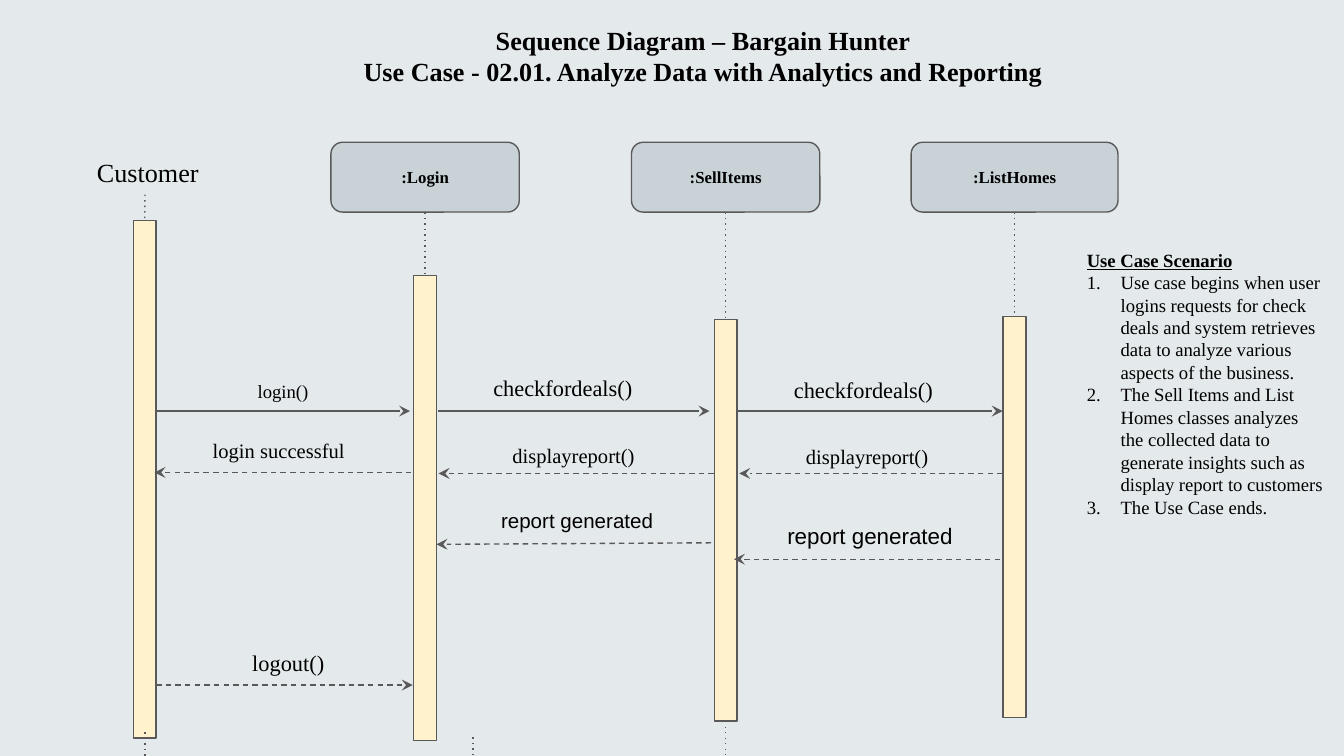
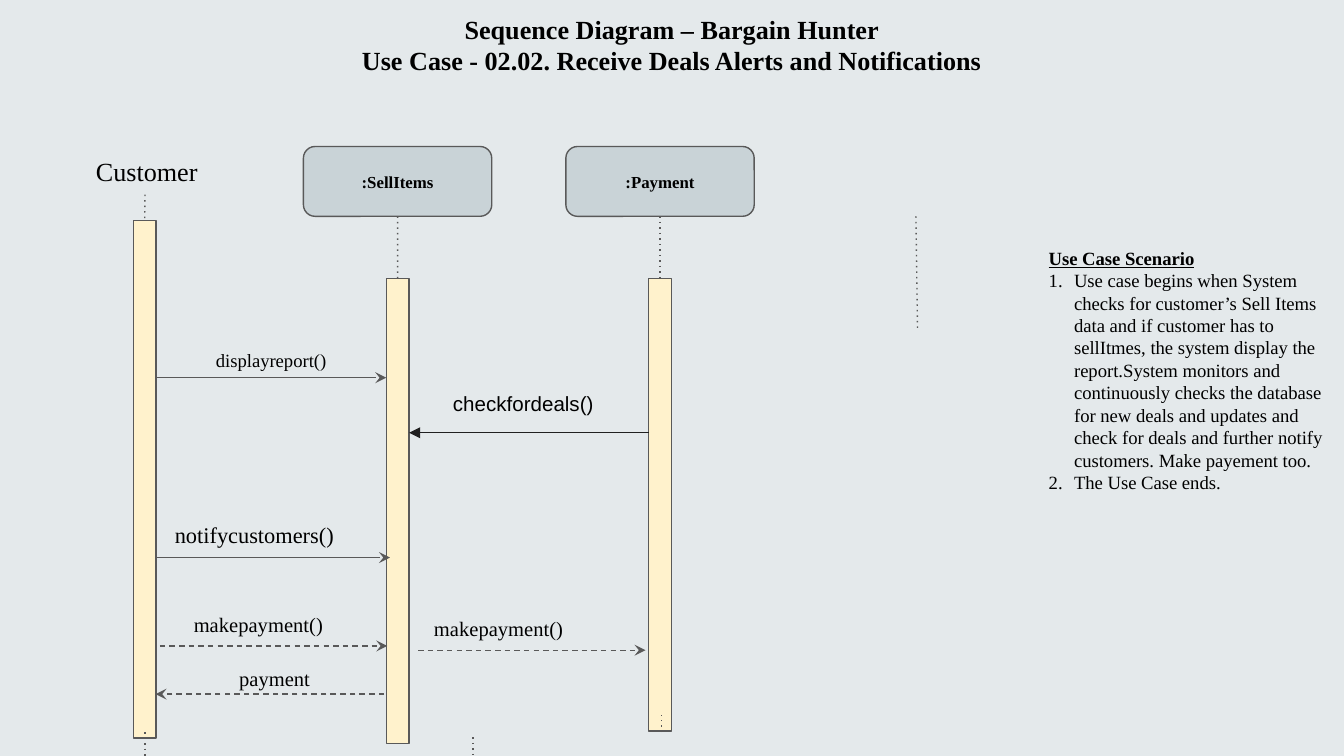
from lxml import etree
from pptx import Presentation
from pptx import util as u
from pptx.dml.color import RGBColor
from pptx.enum import shapes, text
from pptx.oxml.ns import qn

BACKDROP = RGBColor(0xE4, 0xE9, 0xEB)
HEAD_FILL = RGBColor(0xC9, 0xD3, 0xD7)
BAR_FILL = RGBColor(0xFF, 0xF2, 0xCC)
OUTLINE = RGBColor(0x59, 0x59, 0x59)
DARK = RGBColor(0x20, 0x20, 0x20)
BLACK = RGBColor(0x00, 0x00, 0x00)
SERIF, SANS = "Times New Roman", "Arial"
CENTER, LEFT = text.PP_ALIGN.CENTER, text.PP_ALIGN.LEFT
TOP, MIDDLE = text.MSO_ANCHOR.TOP, text.MSO_ANCHOR.MIDDLE

SLIDE_WIDTH, SLIDE_HEIGHT = 25.4, 14.29
LINE_WIDTH = u.Pt(0.75)
BAR_WIDTH = 0.43
HEAD_HEIGHT = 1.32
CUSTOMER_X = 2.74

# actors: name, head width, bar left, bar top, bar height
# arrows: start x, start y, tip x, tip y, dash, arrowhead, colour
# labels: wording, size, font, left, top, width, height
# tailed: the actor whose lifeline goes on below its bar
DIAGRAMS = [
    {
        "title": "Use Case - 02.01. Analyze Data with Analytics and Reporting",
        "title_at": (0.59, 0.21),
        "customer_at": (0.42, 2.71),
        "head_top": 2.69,
        "actors": [
            (":Login", 3.56, 7.82, 5.21, 8.79),
            (":SellItems", 3.56, 13.5, 6.04, 7.59),
            (":ListHomes", 3.91, 18.96, 5.98, 7.59),
        ],
        "tailed": ":SellItems",
        "dots": [],
        "arrows": [
            (2.95, 7.77, 7.75, 7.77, None, "stealth", OUTLINE),
            (8.28, 7.77, 13.41, 7.77, None, "stealth", OUTLINE),
            (13.92, 7.77, 18.95, 7.77, None, "stealth", OUTLINE),
            (7.77, 8.93, 2.92, 8.93, "dash", "stealth", OUTLINE),
            (13.49, 8.95, 8.29, 8.95, "dash", "stealth", OUTLINE),
            (18.95, 8.95, 13.97, 8.95, "dash", "stealth", OUTLINE),
            (13.44, 10.26, 8.25, 10.29, "dash", "stealth", OUTLINE),
            (18.9, 10.57, 13.87, 10.57, "dash", "stealth", OUTLINE),
            (2.95, 12.95, 7.8, 12.95, "dash", "stealth", OUTLINE),
        ],
        "labels": [
            ("login()", 10, SERIF, 2.72, 6.78, 5.26, 1.24),
            ("checkfordeals()", 12, SERIF, 7.81, 6.91, 5.66, 0.84),
            ("checkfordeals()", 12, SERIF, 13.49, 6.95, 5.66, 0.84),
            ("login successful", 11, SERIF, 2.92, 8.1, 4.7, 0.84),
            ("displayreport()", 11, SERIF, 8.01, 8.18, 5.66, 0.84),
            ("displayreport()", 11, SERIF, 13.56, 8.2, 5.66, 0.84),
            ("report generated", 11, SANS, 9.22, 9.47, 3.5, 0.74),
            ("report generated", 12, SANS, 14.63, 9.71, 5.66, 0.84),
            ("logout()", 12, SERIF, 2.62, 12.1, 5.66, 0.84),
        ],
        "scenario_at": (20.29, 4.57, 5, 6.25),
        "indent": 0.64,
        "steps": [
            "Use case begins when user logins requests for check deals and system "
            "retrieves data to analyze various aspects of the business.",
            "The Sell Items and List Homes classes analyzes the collected data to "
            "generate insights such as display report to customers",
            "The Use Case ends.",
        ],
    },
    {
        "title": "Use Case - 02.02. Receive Deals Alerts and Notifications",
        "title_at": (0, 0),
        "customer_at": (0.4, 2.69),
        "head_top": 2.77,
        "actors": [
            (":SellItems", 3.56, 7.3, 5.26, 8.79),
            (":Payment", 3.56, 12.26, 5.26, 8.56),
        ],
        "tailed": None,
        "dots": [(12.5, 13.84, 12.5, 13.51), (17.31, 4.09, 17.34, 6.2)],
        "arrows": [
            (2.95, 7.14, 7.3, 7.14, None, "stealth", OUTLINE),
            (12.27, 8.18, 7.73, 8.18, None, "triangle", DARK),
            (2.95, 10.54, 7.37, 10.54, None, "stealth", OUTLINE),
            (3.02, 12.21, 7.32, 12.21, "dash", "stealth", OUTLINE),
            (7.9, 12.29, 12.2, 12.29, "dash", "stealth", OUTLINE),
            (7.26, 13.12, 2.94, 13.12, "dash", "stealth", OUTLINE),
        ],
        "labels": [
            ("displayreport()", 10, SERIF, 2.13, 6.15, 5.99, 1.32),
            ("checkfordeals()", 11, SANS, 8.31, 7.26, 3.3, 0.74),
            ("notifycustomers()", 12, SERIF, 1.98, 9.68, 5.66, 0.84),
            ("makepayment()", 11, SERIF, 2.42, 11.2, 4.93, 1.19),
            ("makepayment()", 11, SERIF, 6.96, 11.28, 4.93, 1.19),
            ("payment", 11, SERIF, -1.16, 12.46, 12.7, 0.74),
        ],
        "scenario_at": (19.57, 4.53, 5.84, 4.95),
        "indent": 0.48,
        "steps": [
            "Use case begins when System checks for customer’s Sell Items data and if "
            "customer has to sellItmes, the system display the report.System monitors "
            "and continuously checks the database for new deals and updates and check "
            "for deals and further notify customers. Make payement too.",
            "The Use Case ends.",
        ],
    },
]


def write_text(box, lines, size=10, font=SERIF, bold=False, align=CENTER,
               anchor=MIDDLE, margin_top=0.25):
    """Fill a shape with one paragraph per line and return the paragraphs."""
    frame = box.text_frame
    frame.word_wrap = True
    frame.auto_size = text.MSO_AUTO_SIZE.NONE
    frame.vertical_anchor = anchor
    frame.margin_left = frame.margin_right = u.Cm(0.25)
    frame.margin_top = frame.margin_bottom = u.Cm(margin_top)
    for number, line in enumerate(lines):
        para = frame.add_paragraph() if number else frame.paragraphs[0]
        para.alignment = align
        span = para.add_run()
        span.text = line
        span.font.size = u.Pt(size)
        span.font.name = font
        span.font.bold = bold
        span.font.color.rgb = BLACK
    return frame.paragraphs


def draw_line(page, ends, dash=None, arrowhead=None, color=OUTLINE):
    line = page.shapes.add_connector(
        shapes.MSO_CONNECTOR.STRAIGHT, *[u.Cm(value) for value in ends])
    line.line.color.rgb = color
    line.line.width = LINE_WIDTH
    properties = line._element.spPr
    stroke = properties.find(qn("a:ln"))
    if dash:
        etree.SubElement(stroke, qn("a:prstDash"), val=dash)
    if arrowhead:
        etree.SubElement(stroke, qn("a:tailEnd"), type=arrowhead)
    etree.SubElement(properties, qn("a:effectLst"))
    return line


deck = Presentation()
deck.slide_width, deck.slide_height = u.Cm(SLIDE_WIDTH), u.Cm(SLIDE_HEIGHT)
backdrop = deck.slide_master.background.fill
backdrop.solid()
backdrop.fore_color.rgb = BACKDROP

for diagram in DIAGRAMS:
    page = deck.slides.add_slide(deck.slide_layouts[5])

    title = page.shapes.title
    title.left, title.top = [u.Cm(value) for value in diagram["title_at"]]
    title.width, title.height = u.Cm(SLIDE_WIDTH), u.Cm(1.55)
    write_text(title, ["Sequence Diagram – Bargain Hunter", diagram["title"]],
               size=14, bold=True, anchor=TOP)

    # Actors: activation bars, heads and lifelines
    customer = page.shapes.add_textbox(
        *[u.Cm(value) for value in (*diagram["customer_at"], 4.75, 0.84)])
    write_text(customer, ["Customer"], size=14, anchor=TOP)

    for name, head_width, left, top, height in [
            ("Customer", None, 2.52, 4.17, 9.78), *diagram["actors"]]:
        bar = page.shapes.add_shape(
            shapes.MSO_SHAPE.RECTANGLE,
            *[u.Cm(value) for value in (left, top, BAR_WIDTH, height)])
        parts = [(bar, BAR_FILL)]
        lifeline = draw_line(page, (CUSTOMER_X, 3.68, CUSTOMER_X, top), "dot")
        if head_width:
            head_left = left + (BAR_WIDTH - head_width) / 2
            head = page.shapes.add_shape(
                shapes.MSO_SHAPE.ROUNDED_RECTANGLE,
                *[u.Cm(value) for value in
                  (head_left, diagram["head_top"], head_width, HEAD_HEIGHT)])
            write_text(head, [name], size=9, bold=True)
            parts.append((head, HEAD_FILL))
            lifeline.begin_connect(head, 2)
        lifeline.end_connect(bar, 0)
        for part, color in parts:
            part.shadow.inherit = False
            part.fill.solid()
            part.fill.fore_color.rgb = color
            part.line.color.rgb = OUTLINE
            part.line.width = LINE_WIDTH
        if name == diagram["tailed"]:
            middle = left + BAR_WIDTH / 2
            tail = draw_line(page, (middle, top + height, middle, SLIDE_HEIGHT), "dot")
            tail.begin_connect(bar, 2)

    for ends in [(CUSTOMER_X, 13.84, CUSTOMER_X, SLIDE_HEIGHT),
                 (8.94, 13.94, 8.94, SLIDE_HEIGHT), *diagram["dots"]]:
        draw_line(page, ends, "dot")

    # Messages
    for *ends, dash, arrowhead, color in diagram["arrows"]:
        draw_line(page, ends, dash, arrowhead, color)
    for wording, size, font, *place in diagram["labels"]:
        label = page.shapes.add_textbox(*[u.Cm(value) for value in place])
        write_text(label, [wording], size=size, font=font,
                   align=LEFT if font == SANS else CENTER)

    # Scenario: underlined heading and numbered steps
    scenario = page.shapes.add_textbox(
        *[u.Cm(value) for value in diagram["scenario_at"]])
    heading, *steps = write_text(
        scenario, ["Use Case Scenario", *diagram["steps"]],
        align=LEFT, anchor=TOP, margin_top=0.13)
    heading.runs[0].font.bold = heading.runs[0].font.underline = True
    indent = u.Cm(diagram["indent"])
    for step in steps:
        properties = step._p.get_or_add_pPr()
        properties.set("marL", str(indent))
        properties.set("indent", str(-indent))
        bullet_color = etree.SubElement(properties, qn("a:buClr"))
        etree.SubElement(bullet_color, qn("a:srgbClr"), val=str(BLACK))
        etree.SubElement(properties, qn("a:buAutoNum"), type="arabicPeriod")

deck.save("out.pptx")
